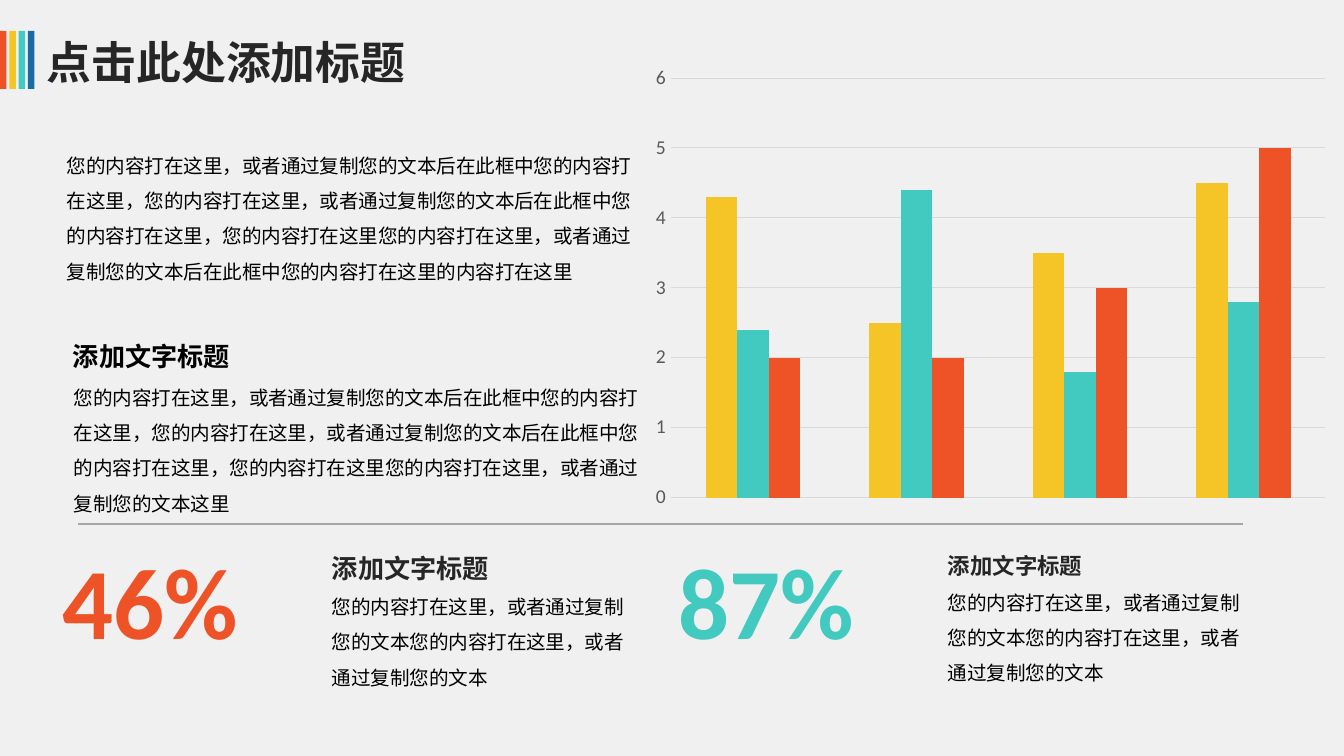
from lxml import etree
from pptx import Presentation
from pptx.chart.data import CategoryChartData
from pptx.dml.color import RGBColor
from pptx.enum.chart import XL_CHART_TYPE, XL_TICK_MARK
from pptx.enum.shapes import MSO_CONNECTOR, MSO_SHAPE
from pptx.enum.text import MSO_ANCHOR, MSO_AUTO_SIZE, PP_ALIGN
from pptx.oxml import parse_xml
from pptx.oxml.ns import nsdecls, qn
from pptx.util import Emu, Pt

RECTANGLE = MSO_SHAPE.RECTANGLE
PILL = MSO_SHAPE.ROUNDED_RECTANGLE
STRAIGHT = MSO_CONNECTOR.STRAIGHT
COLUMNS = XL_CHART_TYPE.COLUMN_CLUSTERED
NO_TICK = XL_TICK_MARK.NONE
GROW = MSO_AUTO_SIZE.SHAPE_TO_FIT_TEXT
MIDDLE, TOP = MSO_ANCHOR.MIDDLE, MSO_ANCHOR.TOP
LEFT = PP_ALIGN.LEFT

EMU_PER_PX = 914400 / 134.4
LATIN, CHINESE = "Calibri", "Noto Sans CJK SC"
COLORS = {
    "background": "F0F0F0", "orange": "ED5326", "yellow": "F5C527",
    "teal": "42CAC0", "blue": "1B6AA3", "dark": "262626", "black": "000000",
    "rule": "A6A6A6", "axis": "595959", "grid": "D9D9D9",
}
NARROW, WIDE = (7, 4), (13, 7)  # horizontal and vertical insets

# Paragraph styles: font, size, bold, line spacing
STYLES = {
    "title": (LATIN, 24, True, 1),
    "heading": (LATIN, 14, True, 1),
    "small heading": (LATIN, 12, True, 1),
    "number": (LATIN, 54, True, 1),
    "body": (CHINESE, 10.5, False, 1.5),
}

TITLE = "点击此处添加标题"
HEADING = "添加文字标题"
LEAD = ("您的内容打在这里，或者通过复制您的文本后在此框中您的内容打在这里，"
        "您的内容打在这里，或者通过复制您的文本后在此框中您的内容打在这里，"
        "您的内容打在这里您的内容打在这里，或者通过复制您的文本")
INTRO = LEAD + "后在此框中您的内容打在这里的内容打在这里"
DETAIL = LEAD + "这里"
NOTE = "您的内容打在这里，或者通过复制您的文本您的内容打在这里，或者通过复制您的文本"

STRIPES = ["orange", "yellow", "teal", "blue"]
# Box, insets, paragraphs (text, style, color)
TEXT_BOXES = [
    ((60, 138, 582, 146), NARROW, [(INTRO, "body", "black")]),
    ((67, 370, 582, 146), NARROW, [(DETAIL, "body", "black")]),
    ((60, 333, 263, 46), WIDE, [(HEADING, "heading", "black")]),
]
# Left edge, percentage, color, heading style
FIGURES = [
    (56, "46%", "orange", "heading"),
    (672, "87%", "teal", "small heading"),
]
CATEGORIES = ["1", "2", "3", "4"]
SERIES = [
    ("Series 1", "yellow", (4.3, 2.5, 3.5, 4.5)),
    ("Series 2", "teal", (2.4, 4.4, 1.8, 2.8)),
    ("Series 3", "orange", (2, 2, 3, 5)),
]
CHART_BOX = (642, 58, 696, 462)
PLOT_BOX = (671, 78, 654, 420)


def px(*lengths):
    return [Emu(round(length * EMU_PER_PX)) for length in lengths]


def rgb(name):
    return RGBColor.from_string(COLORS[name])


def set_format(target, values):
    for name, value in values.items():
        setattr(target, name, value)


def write_text(shape, paragraphs, insets, anchor=TOP):
    across, down = px(*insets)
    frame = shape.text_frame
    set_format(frame, {
        "word_wrap": True, "vertical_anchor": anchor,
        "margin_left": across, "margin_right": across,
        "margin_top": down, "margin_bottom": down,
    })
    for index, (text, style, color) in enumerate(paragraphs):
        font_name, size, bold, spacing = STYLES[style]
        paragraph = frame.add_paragraph() if index else frame.paragraphs[0]
        set_format(paragraph, {"alignment": LEFT, "line_spacing": spacing})
        run = paragraph.add_run()
        run.text = text
        set_format(run.font, {"name": font_name, "size": Pt(size), "bold": bold})
        run.font.color.rgb = rgb(color)
        east_asian = etree.SubElement(run.font._element, qn("a:ea"))
        east_asian.set("typeface", CHINESE)


def add_text(slide, box, insets, paragraphs):
    shape = slide.shapes.add_textbox(*px(*box))
    write_text(shape, paragraphs, insets)
    shape.text_frame.auto_size = GROW


def add_header(slide):
    for index, color in enumerate(STRIPES):
        stripe = slide.shapes.add_shape(RECTANGLE, *px(index * 9.3, 31, 6.5, 58))
        stripe.shadow.inherit = False
        stripe.fill.solid()
        stripe.fill.fore_color.rgb = rgb(color)
        stripe.line.fill.background()
    title = slide.shapes.add_shape(PILL, *px(24, 28, 466, 67))
    title.adjustments[0] = 0.5
    title.shadow.inherit = False
    title.fill.background()
    title.line.fill.background()
    write_text(title, [(TITLE, "title", "dark")], WIDE, MIDDLE)


def add_rule(slide):
    rule = slide.shapes.add_connector(STRAIGHT, *px(78, 524, 1243, 524))
    rule.line.color.rgb = rgb("rule")
    rule.line.width = Pt(0.75)
    etree.SubElement(rule._element.spPr, qn("a:effectLst"))


def fix_plot_area(chart):
    """Pin the inner plot area to PLOT_BOX, as fractions of the chart."""
    left, top, width, height = CHART_BOX
    plot_left, plot_top, plot_width, plot_height = PLOT_BOX
    fractions = {
        "x": (plot_left - left) / width, "y": (plot_top - top) / height,
        "w": plot_width / width, "h": plot_height / height,
    }
    modes = '<c:xMode val="edge"/><c:yMode val="edge"/>'
    sizes = "".join(f'<c:{key} val="{value:.3f}"/>' for key, value in fractions.items())
    layout = parse_xml(
        f'<c:layout {nsdecls("c")}><c:manualLayout><c:layoutTarget val="inner"/>'
        f"{modes}{sizes}</c:manualLayout></c:layout>")
    plot_area = chart._chartSpace.chart.plotArea
    for old_layout in plot_area.findall(qn("c:layout")):
        plot_area.remove(old_layout)
    plot_area.insert(0, layout)


def add_column_chart(slide):
    data = CategoryChartData()
    data.categories = CATEGORIES
    for name, _, values in SERIES:
        data.add_series(name, values)
    chart = slide.shapes.add_chart(COLUMNS, *px(*CHART_BOX), data).chart
    set_format(chart, {"has_legend": False, "has_title": False})
    set_format(chart.font, {"name": LATIN, "size": Pt(10.5)})
    chart.font.color.rgb = rgb("black")
    plot = chart.plots[0]
    set_format(plot, {"gap_width": 219, "overlap": 0, "vary_by_categories": False})
    for series, (_, color, _) in zip(plot.series, SERIES):
        series.format.fill.solid()
        series.format.fill.fore_color.rgb = rgb(color)
    chart.category_axis.visible = False
    axis = chart.value_axis
    set_format(axis, {
        "minimum_scale": 0, "maximum_scale": 6, "major_unit": 1,
        "major_tick_mark": NO_TICK, "minor_tick_mark": NO_TICK,
        "has_major_gridlines": True,
    })
    axis.format.line.fill.background()
    set_format(axis.tick_labels.font, {"name": LATIN, "size": Pt(10.5)})
    axis.tick_labels.font.color.rgb = rgb("axis")
    grid = axis.major_gridlines.format.line
    grid.color.rgb = rgb("grid")
    grid.width = Pt(0.25)
    fix_plot_area(chart)


def main():
    presentation = Presentation()
    presentation.slide_width, presentation.slide_height = px(1344, 756)
    slide = presentation.slides.add_slide(presentation.slide_layouts[6])
    slide.background.fill.solid()
    slide.background.fill.fore_color.rgb = rgb("background")
    add_header(slide)
    add_rule(slide)
    for left, number, color, heading_style in FIGURES:
        add_text(slide, (left, 535, 269, 129), NARROW, [(number, "number", color)])
        add_text(slide, (left + 269, 548, 314, 145), NARROW,
                 [(HEADING, heading_style, "dark"), (NOTE, "body", "black")])
    add_column_chart(slide)
    for box, insets, paragraphs in TEXT_BOXES:
        add_text(slide, box, insets, paragraphs)
    presentation.save("out.pptx")


if __name__ == "__main__":
    main()
